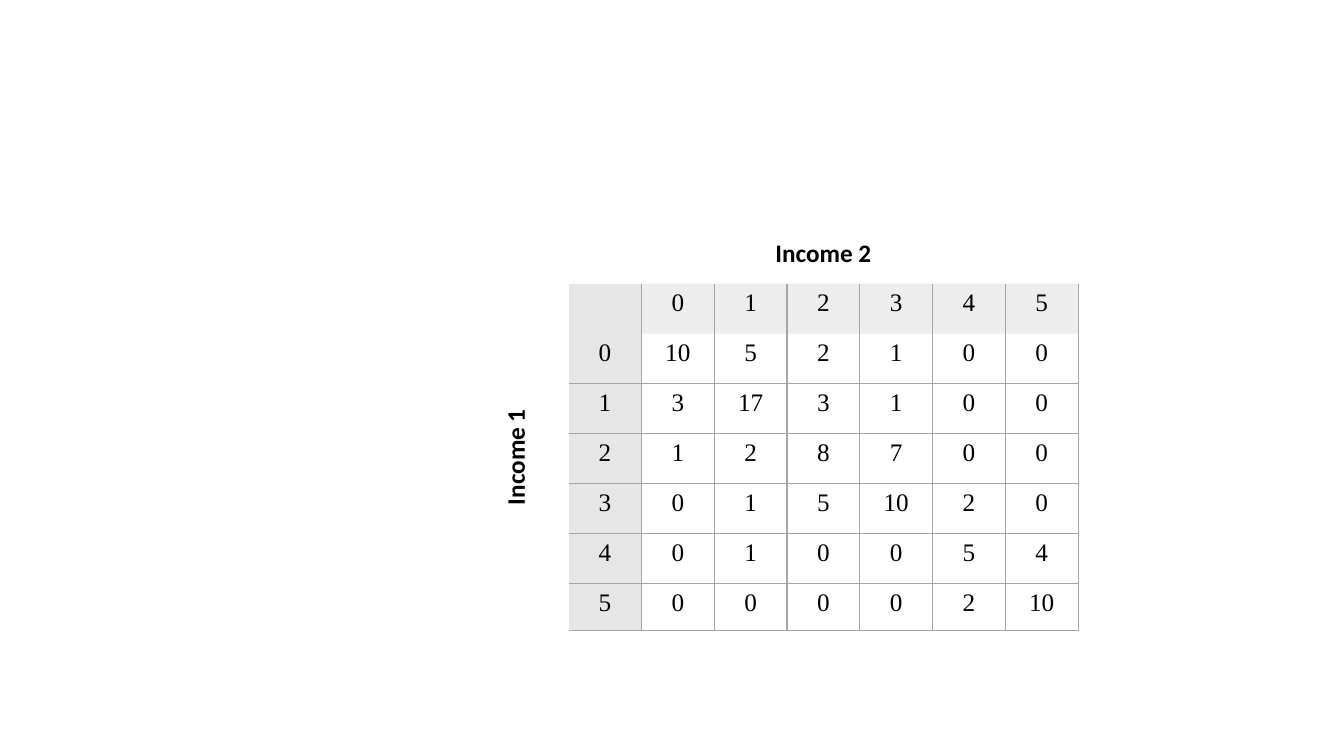
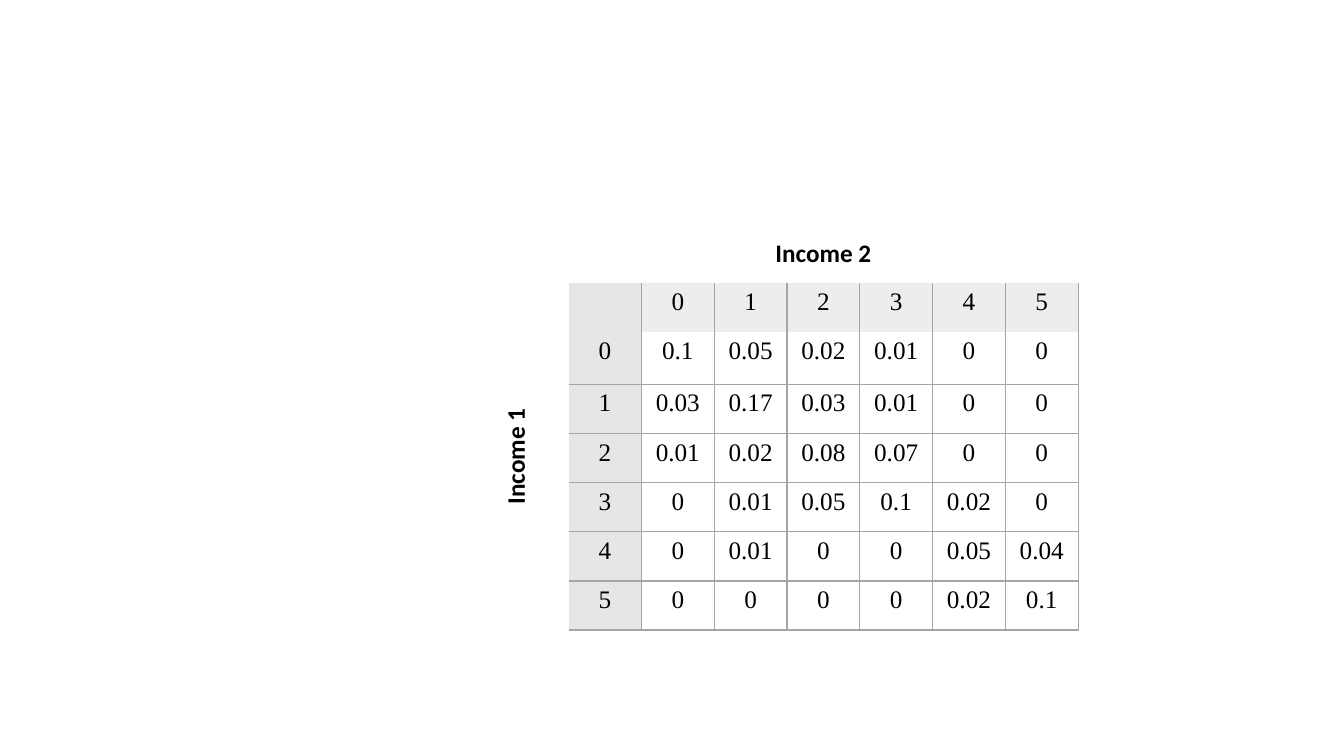
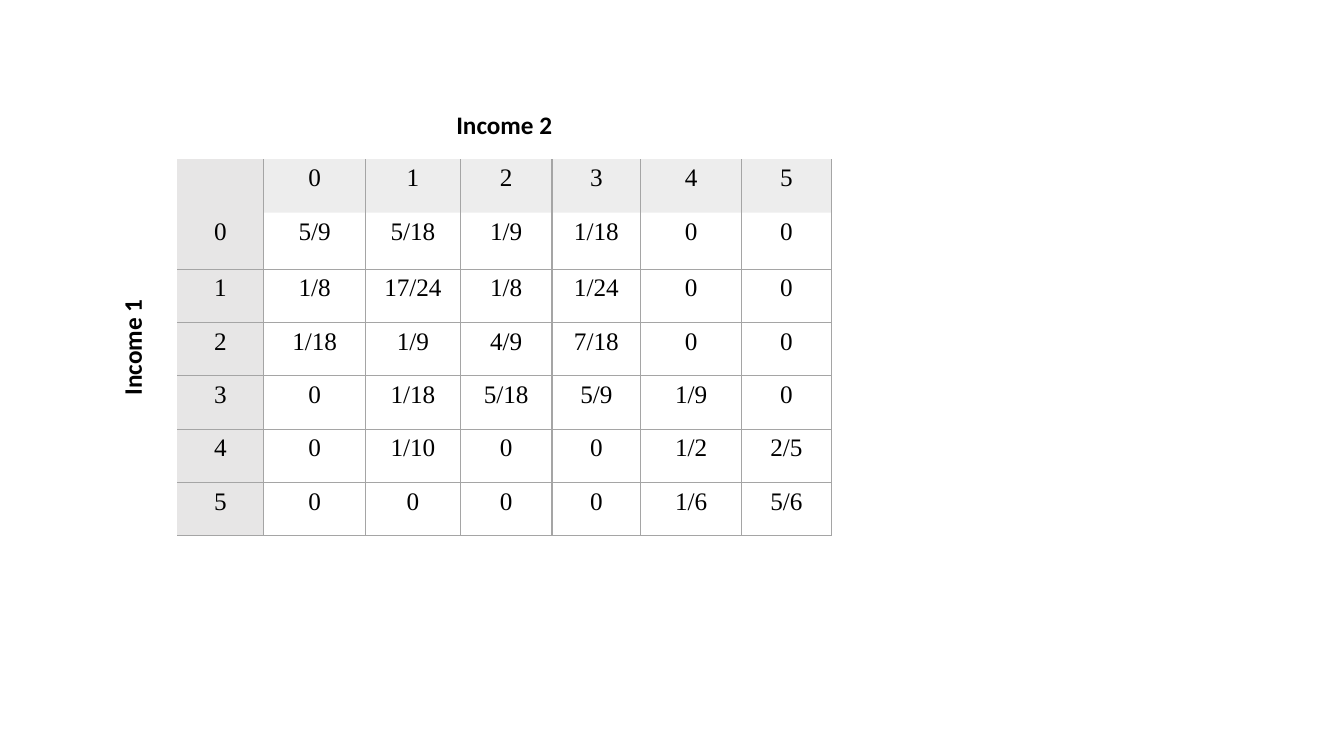
"""Build three income mobility tables: counts, joint shares and row shares."""
from dataclasses import dataclass
from math import gcd

from lxml.etree import SubElement
from pptx import Presentation
from pptx.dml.color import RGBColor as RGB
from pptx.enum.text import MSO_ANCHOR as Anchor, PP_ALIGN as Align
from pptx.oxml.ns import qn
from pptx.util import Pt


@dataclass(frozen=True)
class Theme:
    text: RGB = RGB(0, 0, 0)
    line: RGB = RGB(0xA5, 0xA5, 0xA5)
    row_label: RGB = RGB(0xE7, 0xE6, 0xE6)
    body: RGB = RGB(0xFF, 0xFF, 0xFF)
    header_opacity: int = 20000
    title_font: str = "Calibri"
    value_font: str = "Times New Roman"
    size: int = 18
    line_width: int = 1
    table_style: str = "{2D5ABB26-0587-4C30-8999-92F81FD0307C}"


theme = Theme()


def write(cell, text, font_name, bold=False):
    paragraph = cell.text_frame.paragraphs[0]
    paragraph.alignment = Align.CENTER
    run = paragraph.add_run()
    run.text = text
    run.font.name = font_name
    run.font.size = Pt(theme.size)
    run.font.bold = bold
    run.font.color.rgb = theme.text


def paint(cell, color, edges):
    cell.fill.solid()
    cell.fill.fore_color.rgb = color
    properties = cell._tc.get_or_add_tcPr()
    for position, edge in enumerate(edges):
        line = SubElement(properties, qn(f"a:ln{edge}"), w=str(Pt(theme.line_width)))
        fill = SubElement(line, qn("a:solidFill"))
        SubElement(fill, qn("a:srgbClr"), val=str(theme.line))
        properties.insert(position, line)


counts = [
    [10, 5, 2, 1, 0, 0],
    [3, 17, 3, 1, 0, 0],
    [1, 2, 8, 7, 0, 0],
    [0, 1, 5, 10, 2, 0],
    [0, 1, 0, 0, 5, 4],
    [0, 0, 0, 0, 2, 10],
]
population = 100
joint_shares = [[f"{count / population:g}" for count in row] for row in counts]
row_shares = []
for row in counts:
    total = sum(row)
    row_shares.append([
        f"{count // gcd(count, total)}/{total // gcd(count, total)}" if count else "0"
        for count in row
    ])

even_columns = [52] * 8
tables = [
    (counts, 354.2, 167, even_columns, [35.7] * 7 + [33.7]),
    (joint_shares, 354.2, 167, even_columns, [35.1] * 2 + [37.4] + [35.1] * 5),
    (row_shares, 80.6, 75.6, [46, 61.9, 72.7, 67.7, 65.5, 63.4, 72, 64.1],
     [38.1] * 2 + [40.5] + [38.1] * 5),
]

presentation = Presentation()
presentation.slide_width, presentation.slide_height = Pt(960), Pt(540)

for values, left, top, widths, heights in tables:
    slide = presentation.slides.add_slide(presentation.slide_layouts[6])
    frame = slide.shapes.add_table(
        len(heights), len(widths), Pt(left), Pt(top), Pt(sum(widths)), Pt(sum(heights)))
    table = frame.table
    table.first_row = table.horz_banding = False
    table._tbl.tblPr.find(qn("a:tableStyleId")).text = theme.table_style
    for column, width in zip(table.columns, widths):
        column.width = Pt(width)
    for table_row, height in zip(table.rows, heights):
        table_row.height = Pt(height)

    column_title, row_title = table.cell(0, 1), table.cell(1, 0)
    column_title.merge(table.cell(0, 7))
    row_title.merge(table.cell(7, 0))
    write(column_title, "Income 2", theme.title_font, bold=True)
    write(row_title, "Income 1", theme.title_font, bold=True)
    row_title.vertical_anchor = Anchor.BOTTOM
    row_title._tc.get_or_add_tcPr().set("vert", "vert270")

    paint(table.cell(1, 1), theme.row_label, "R")
    for index, row in enumerate(values):
        header = table.cell(1, index + 2)
        write(header, str(index), theme.value_font)
        paint(header, theme.line, "LR")
        header_color = header._tc.tcPr.find(qn("a:solidFill"))[0]
        SubElement(header_color, qn("a:alpha"), val=str(theme.header_opacity))

        vertical_edges = "TB" if index else "B"
        label = table.cell(index + 2, 1)
        write(label, str(index), theme.value_font)
        paint(label, theme.row_label, ["R", *vertical_edges])
        for column_index, value in enumerate(row):
            cell = table.cell(index + 2, column_index + 2)
            write(cell, str(value), theme.value_font)
            paint(cell, theme.body, "LR" + vertical_edges)

presentation.save("out.pptx")
